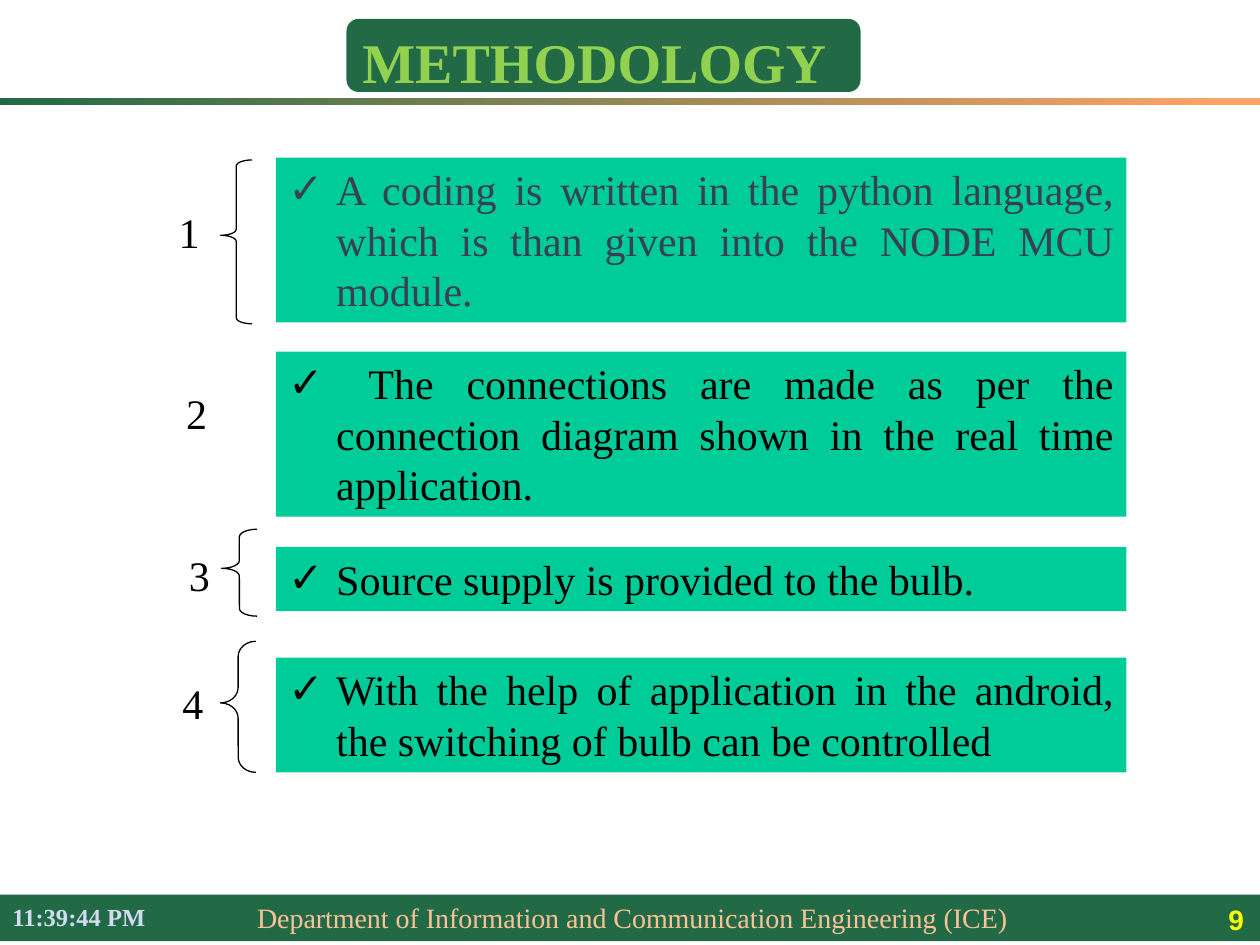
"""Build the methodology slide with four numbered steps."""
from lxml import etree
from pptx import Presentation
from pptx.dml.color import RGBColor
from pptx.enum import shapes, text
from pptx.oxml import ns
from pptx.util import Inches, Pt

COLORS = {"green": "226A45", "orange": "FFA366", "teal": "00CC99", "lime": "92D050",
          "slate": "374151", "black": "000000", "peach": "FFC299", "pale": "D3DBF3",
          "yellow": "FFFF00"}
SHAPE = shapes.MSO_SHAPE
ALIGN = text.PP_ALIGN

prs = Presentation()
prs.slide_width, prs.slide_height = Inches(10), Inches(7.5)
s = prs.slides.add_slide(prs.slide_layouts[6])


def add_box(kind, at, fill=None):
    box = [Inches(v) for v in at]
    if kind is None:
        sp = s.shapes.add_textbox(*box)
    else:
        sp = s.shapes.add_shape(kind, *box)
        sp.shadow.inherit = False
        sp.line.fill.background()
        if fill:
            sp.fill.solid()
            sp.fill.fore_color.rgb = RGBColor.from_string(COLORS[fill])
        else:
            sp.fill.background()
    sp.text_frame.word_wrap = True
    sp.text_frame.vertical_anchor = text.MSO_ANCHOR.TOP
    return sp


def set_text(sp, words, size, color, bold=False, align=ALIGN.LEFT, font="Times New Roman"):
    p = sp.text_frame.paragraphs[0]
    p.text = words
    p.alignment = align
    r = p.runs[0]
    r.font.name, r.font.size, r.font.bold = font, Pt(size), bold
    r.font.color.rgb = RGBColor.from_string(COLORS[color])


footer = add_box(SHAPE.RECTANGLE, (0, 7.1, 10, 0.37), "green")
footer.text_frame.margin_left = Inches(2.04)
set_text(footer, "Department of Information and Communication Engineering (ICE)", 16, "peach")

clock = add_box(None, (0, 7.11, 1.75, 0.31))
set_text(clock, "11:39:44 PM", 14, "pale", bold=True)

number = add_box(None, (7.89, 7.04, 2.08, 0.44))
number.text_frame.vertical_anchor = text.MSO_ANCHOR.BOTTOM
set_text(number, "9", 16, "yellow", bold=True, align=ALIGN.RIGHT, font="Arial")

rule = add_box(SHAPE.RECTANGLE, (0, 0.78, 10, 0.05))
rule.fill.gradient()
rule.fill.gradient_angle = 0
for stop, color, position in zip(rule.fill.gradient_stops, ("green", "orange"), (0, 0.97)):
    stop.color.rgb = RGBColor.from_string(COLORS[color])
    stop.position = position

title = add_box(SHAPE.ROUNDED_RECTANGLE, (2.75, 0.15, 4.08, 0.58), "green")
title.text_frame.margin_top = Inches(0.04)
title.text_frame.margin_bottom = 0
set_text(title, "METHODOLOGY", 32, "lime", bold=True)

steps = [
    ("A coding is written in the python language, which is than given into the NODE MCU module.",
     1.25, 1.31, "slate", ALIGN.JUSTIFY),
    (" The connections are made as per the connection diagram shown in the real time application.",
     2.79, 1.31, "black", ALIGN.JUSTIFY),
    ("Source supply is provided to the bulb.", 4.34, 0.51, "black", ALIGN.LEFT),
    ("With the help of application in the android, the switching of bulb can be controlled",
     5.22, 0.91, "black", ALIGN.JUSTIFY),
]
for words, top, height, color, align in steps:
    step = add_box(SHAPE.RECTANGLE, (2.19, top, 6.75, height), "teal")
    pPr = step.text_frame.paragraphs[0]._p.get_or_add_pPr()
    pPr.set("marL", str(Inches(0.38)))
    pPr.set("indent", str(-Inches(0.38)))
    etree.SubElement(pPr, ns.qn("a:buFont")).set("typeface", "Arial")
    etree.SubElement(pPr, ns.qn("a:buChar")).set("char", "✓")
    set_text(step, words, 24, color, align=align)

braces = [
    ((1.75, 1.27, 0.25, 1.3), (0.19, 0.46)),
    ((1.76, 4.2, 0.28, 0.69), (0.22, 0.45)),
    ((1.75, 5.09, 0.28, 1.04), (0.43, 0.47)),
]
for at, (curve, tip) in braces:
    brace = add_box(SHAPE.LEFT_BRACE, at)
    brace.adjustments[0], brace.adjustments[1] = curve, tip
    brace.line.color.rgb = RGBColor.from_string(COLORS["black"])
    brace.line.width = Pt(0.75)

for n, (left, top) in enumerate([(1.32, 1.59), (1.38, 3.03), (1.4, 4.31), (1.35, 5.33)], 1):
    label = add_box(None, (left, top, 0.4, 0.5))
    set_text(label, str(n), 24, "black")

prs.save("out.pptx")
